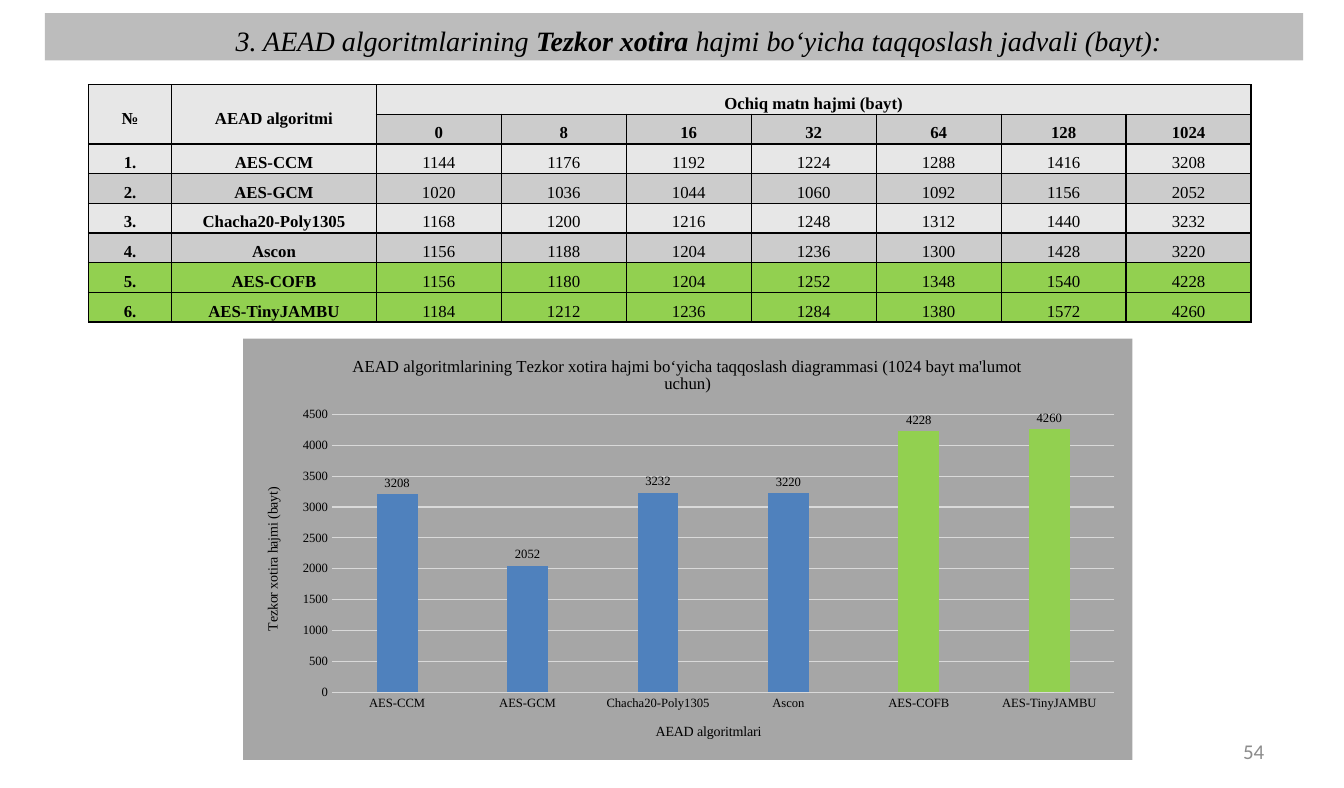
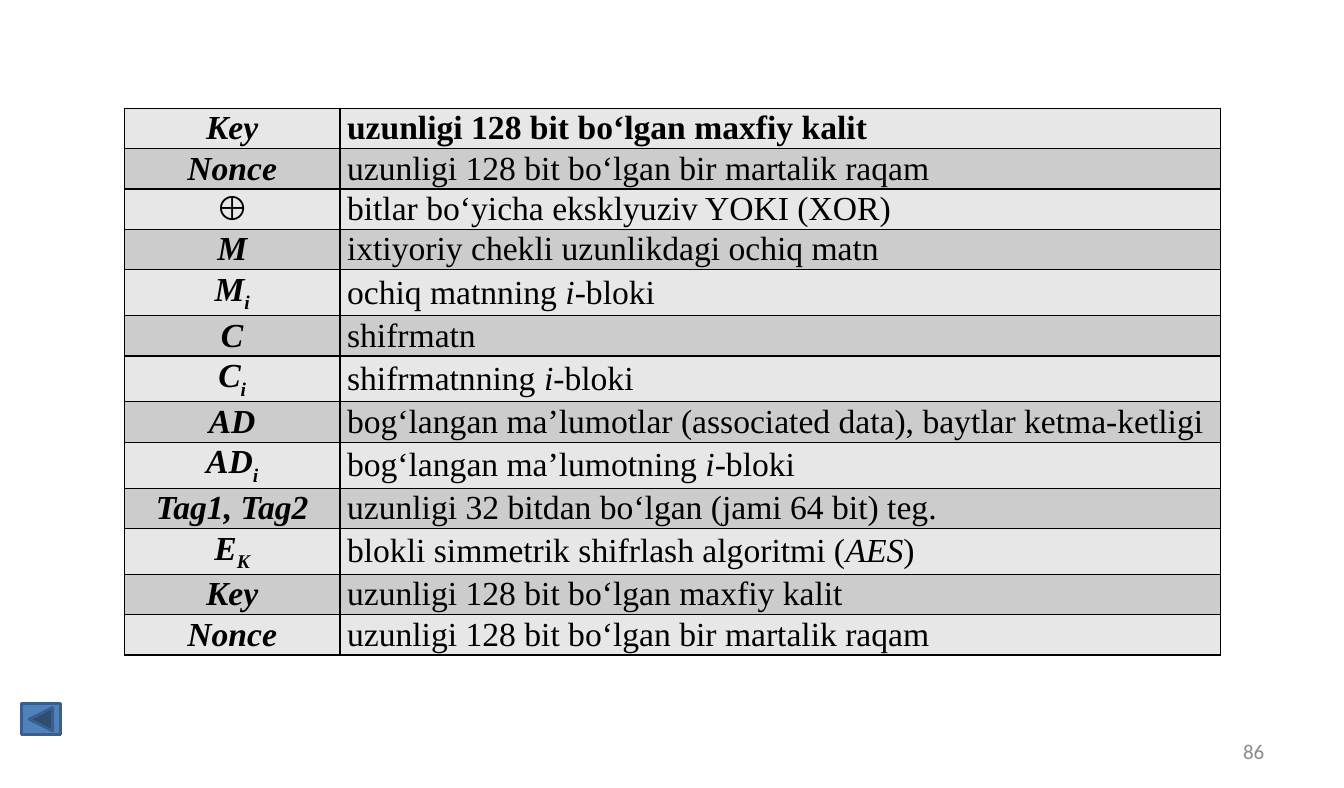
from lxml.etree import SubElement
from pptx import Presentation
from pptx.chart.data import CategoryChartData
from pptx.dml.color import RGBColor
from pptx.enum.chart import XL_CHART_TYPE as ChartType, XL_LABEL_POSITION as LabelPos
from pptx.enum.chart import XL_TICK_MARK as Tick
from pptx.enum.shapes import MSO_SHAPE as Preset
from pptx.enum.text import MSO_ANCHOR as Anchor, MSO_AUTO_SIZE as AutoSize, PP_ALIGN as Align
from pptx.oxml import parse_xml
from pptx.oxml.ns import nsdecls, qn
from pptx.util import Emu, Inches, Pt

SERIF, SANS = "Times New Roman", "Calibri"
BLACK, PAGE_GRAY, GRAY, RULE = "000000", "8C8C8C", "A6A6A6", "D9D9D9"
LIGHT, DARK, GREEN = "E7E7E7", "CCCCCC", "92D050"
BLUE, DARK_BLUE = "4F81BD", "3A5F8C"
TITLE_ONLY, BLANK = 5, 6


def rgb(value):
    return RGBColor.from_string(value)


def paint(target, color):
    target.fill.solid()
    target.fill.fore_color.rgb = rgb(color)


def style_font(font, size, color=BLACK, name=SERIF, bold=False, italic=False):
    font.size, font.name = Pt(size), name
    font.bold, font.italic = bold, italic
    font.color.rgb = rgb(color)


def write(frame, text, align=Align.CENTER, spacing=1.0, indent=0, accent=None,
          subscript=False, **font):
    """Fill a frame; parts between asterisks get the accent format or become subscripts."""
    paragraph = frame.paragraphs[0]
    paragraph.alignment, paragraph.line_spacing = align, spacing
    if indent:
        properties = paragraph._p.get_or_add_pPr()
        properties.set("marL", "0")
        properties.set("indent", str(Inches(indent)))
    for place, part in enumerate(text.split("*")):
        if not part:
            continue
        marked = place % 2 == 1
        run = paragraph.add_run()
        run.text = part
        style_font(run.font, **{**font, **((accent or {}) if marked else {})})
        if marked and subscript:
            run._r.get_or_add_rPr().set("baseline", "-25000")


def border(cell, color=BLACK, width=1):
    properties = cell._tc.get_or_add_tcPr()
    for side in ("a:lnL", "a:lnR", "a:lnT", "a:lnB"):
        line = SubElement(properties, qn(side), w=str(Pt(width)))
        SubElement(SubElement(line, qn("a:solidFill")), qn("a:srgbClr"), val=color)


class Deck:
    """Keeps the page and the current slide; lengths are hundredths of the slide's size."""

    def __init__(self, width, height):
        self.file = Presentation()
        self.file.slide_width, self.file.slide_height = Inches(width), Inches(height)
        self.slide = None

    def x(self, columns):
        return Emu(round(self.file.slide_width * columns / 100))

    def y(self, rows):
        return Emu(round(self.file.slide_height * rows / 100))

    def box(self, left, top, width, height):
        return self.x(left), self.y(top), self.x(width), self.y(height)

    def new_slide(self, number, layout):
        self.slide = self.file.slides.add_slide(self.file.slide_layouts[layout])
        frame = self.slide.shapes.add_textbox(*self.box(71.64, 92.58, 23.33, 5.37)).text_frame
        frame.word_wrap, frame.vertical_anchor = True, Anchor.MIDDLE
        frame.margin_left = frame.margin_right = Inches(0.12)
        frame.margin_top = frame.margin_bottom = Inches(0.06)
        write(frame, str(number), align=Align.RIGHT, size=15, color=PAGE_GRAY, name=SANS)

    def title(self, text):
        band = self.slide.shapes.title
        band.left, band.top, band.width, band.height = self.box(3.34, 1.66, 93.62, 6.01)
        paint(band, GRAY)
        color = band._element.spPr.find(qn("a:solidFill")).find(qn("a:srgbClr"))
        SubElement(color, qn("a:alpha"), val="75000")
        frame = band.text_frame
        frame.auto_size, frame.vertical_anchor = AutoSize.NONE, Anchor.MIDDLE
        write(frame, text, spacing=1.2, indent=0.49, size=20, italic=True,
              accent={"bold": True})

    def table(self, rows, left, top, widths, row_height, cell_style, merges=()):
        """cell_style(row, column) gives the fill and the text format of a cell."""
        place = self.box(left, top, sum(widths), row_height * len(rows))
        table = self.slide.shapes.add_table(len(rows), len(widths), *place).table
        for column, width in zip(table.columns, widths):
            column.width = self.x(width)
        for r, texts in enumerate(rows):
            table.rows[r].height = self.y(row_height)
            for c, text in enumerate(texts):
                cell = table.cell(r, c)
                fill, text_format = cell_style(r, c)
                border(cell)
                paint(cell, fill)
                cell.vertical_anchor = Anchor.MIDDLE
                cell.margin_left = cell.margin_right = Inches(0.07)
                cell.margin_top = cell.margin_bottom = 0
                if text:
                    write(cell.text_frame, text, **text_format)
        for first, last in merges:
            table.cell(*first).merge(table.cell(*last))

    def column_chart(self, place, title, axis_titles, values, highlights, plot):
        """plot holds the shares of the chart that the inner plot area takes."""
        data = CategoryChartData()
        data.categories = list(values)
        data.add_series("Series 1", list(values.values()))
        chart = self.slide.shapes.add_chart(ChartType.COLUMN_CLUSTERED, *self.box(*place),
                                            data).chart
        style_font(chart.font, 10, name=SANS)
        chart.has_legend = False
        chart.has_title = True
        write(chart.chart_title.text_frame, title, size=12)
        chart.chart_title.include_in_layout = False

        for axis, name in zip((chart.category_axis, chart.value_axis), axis_titles):
            write(axis.axis_title.text_frame, name, size=10)
            axis.major_tick_mark = axis.minor_tick_mark = Tick.NONE
            style_font(axis.tick_labels.font, 9)
        scale = chart.value_axis
        scale.minimum_scale, scale.maximum_scale, scale.major_unit = 0, 4500, 500
        scale.format.line.fill.background()
        for line in (chart.category_axis.format.line, scale.major_gridlines.format.line):
            line.color.rgb = rgb(RULE)
            line.width = Pt(0.75)

        bars = chart.plots[0]
        bars.gap_width, bars.overlap, bars.vary_by_categories = 219, -27, False
        series = bars.series[0]
        paint(series.format, BLUE)
        for point in highlights:
            paint(series.points[point].format, GREEN)
        labels = series.data_labels
        labels.show_value, labels.position = True, LabelPos.OUTSIDE_END
        style_font(labels.font, 9)

        body = chart.element.find(qn("c:chart"))
        body.addnext(parse_xml(
            f'<c:spPr {nsdecls("c", "a")}><a:solidFill><a:srgbClr val="{GRAY}"/></a:solidFill>'
            '<a:ln><a:noFill/></a:ln></c:spPr>'))
        area = body.find(qn("c:plotArea"))
        for layout in area.findall(qn("c:layout")):
            area.remove(layout)
        settings = {"layoutTarget": "inner", "xMode": "edge", "yMode": "edge",
                    **dict(zip("xywh", plot))}
        manual = "".join(f'<c:{key} val="{value}"/>' for key, value in settings.items())
        area.insert(0, parse_xml(f'<c:layout {nsdecls("c")}><c:manualLayout>{manual}'
                                 '</c:manualLayout></c:layout>'))

    def back_button(self, *place):
        button = self.slide.shapes.add_shape(Preset.ACTION_BUTTON_BACK_OR_PREVIOUS,
                                             *self.box(*place))
        button.shadow.inherit = False
        paint(button, BLUE)
        button.line.color.rgb = rgb(DARK_BLUE)
        button.line.width = Pt(2)


SIZES = ["0", "8", "16", "32", "64", "128", "1024"]
MEMORY = {
    "AES-CCM": [1144, 1176, 1192, 1224, 1288, 1416, 3208],
    "AES-GCM": [1020, 1036, 1044, 1060, 1092, 1156, 2052],
    "Chacha20-Poly1305": [1168, 1200, 1216, 1248, 1312, 1440, 3232],
    "Ascon": [1156, 1188, 1204, 1236, 1300, 1428, 3220],
    "AES-COFB": [1156, 1180, 1204, 1252, 1348, 1540, 4228],
    "AES-TinyJAMBU": [1184, 1212, 1236, 1284, 1380, 1572, 4260],
}
HIGHLIGHTS = (4, 5)

KEY = ("Key", "uzunligi 128 bit bo‘lgan maxfiy kalit")
NONCE = ("Nonce", "uzunligi 128 bit bo‘lgan bir martalik raqam")
NOTATION = [
    KEY,
    NONCE,
    ("⊕", "bitlar bo‘yicha eksklyuziv YOKI (XOR)"),
    ("M", "ixtiyoriy chekli uzunlikdagi ochiq matn"),
    ("M*i*", "ochiq matnning *i*-bloki"),
    ("C", "shifrmatn"),
    ("C*i*", "shifrmatnning *i*-bloki"),
    ("AD", "bog‘langan ma’lumotlar (associated data), baytlar ketma-ketligi"),
    ("AD*i*", "bog‘langan ma’lumotning *i*-bloki"),
    ("Tag1, Tag2", "uzunligi 32 bitdan bo‘lgan (jami 64 bit) teg."),
    ("E*K*", "blokli simmetrik shifrlash algoritmi (*AES*)"),
    KEY,
    NONCE,
]


def band_fill(row):
    return DARK if row % 2 else LIGHT


def memory_style(row, column):
    fill = GREEN if row - 2 in HIGHLIGHTS else band_fill(row)
    return fill, {"size": 12, "spacing": 1.45, "bold": row < 2 or column < 2}


def notation_style(row, column):
    text_format = {"size": 24}
    if column == 0:
        text_format.update(bold=True, italic=NOTATION[row][0] != "⊕", subscript=True)
    else:
        text_format.update(align=Align.JUSTIFY, bold=row == 0, accent={"italic": True})
    return band_fill(row), text_format


def memory_slide(deck):
    deck.new_slide(54, TITLE_ONLY)
    deck.title("3. AEAD algoritmlarining *Tezkor xotira *hajmi bo‘yicha "
               "taqqoslash jadvali (bayt):")
    rows = [["№", "AEAD algoritmi", "Ochiq matn hajmi (bayt)"] + [""] * (len(SIZES) - 1),
            ["", ""] + SIZES]
    rows += [[f"{number}.", name, *map(str, values)]
             for number, (name, values) in enumerate(MEMORY.items(), 1)]
    deck.table(rows, 6.58, 10.74, [6.2, 15.22] + [9.3] * len(SIZES), 3.77, memory_style,
               merges=[((0, 0), (1, 0)), ((0, 1), (1, 1)), ((0, 2), (0, 8))])
    deck.column_chart(
        (18.08, 42.97, 66.17, 53.45),
        "AEAD algoritmlarining Tezkor xotira hajmi bo‘yicha taqqoslash diagrammasi "
        "(1024 bayt ma'lumot uchun)",
        ("AEAD algoritmlari", "Tezkor xotira hajmi (bayt)"),
        {name: values[-1] for name, values in MEMORY.items()},
        HIGHLIGHTS, plot=(0.1, 0.18, 0.88, 0.66))


def notation_slide(deck):
    deck.new_slide(86, BLANK)
    deck.table(NOTATION, 9.25, 13.75, [16.05, 65.49], 3.71, notation_style)
    deck.back_button(1.58, 89.3, 2.93, 3.96)


def main():
    deck = Deck(13.33, 7.82)
    memory_slide(deck)
    notation_slide(deck)
    deck.file.save("out.pptx")


if __name__ == "__main__":
    main()
